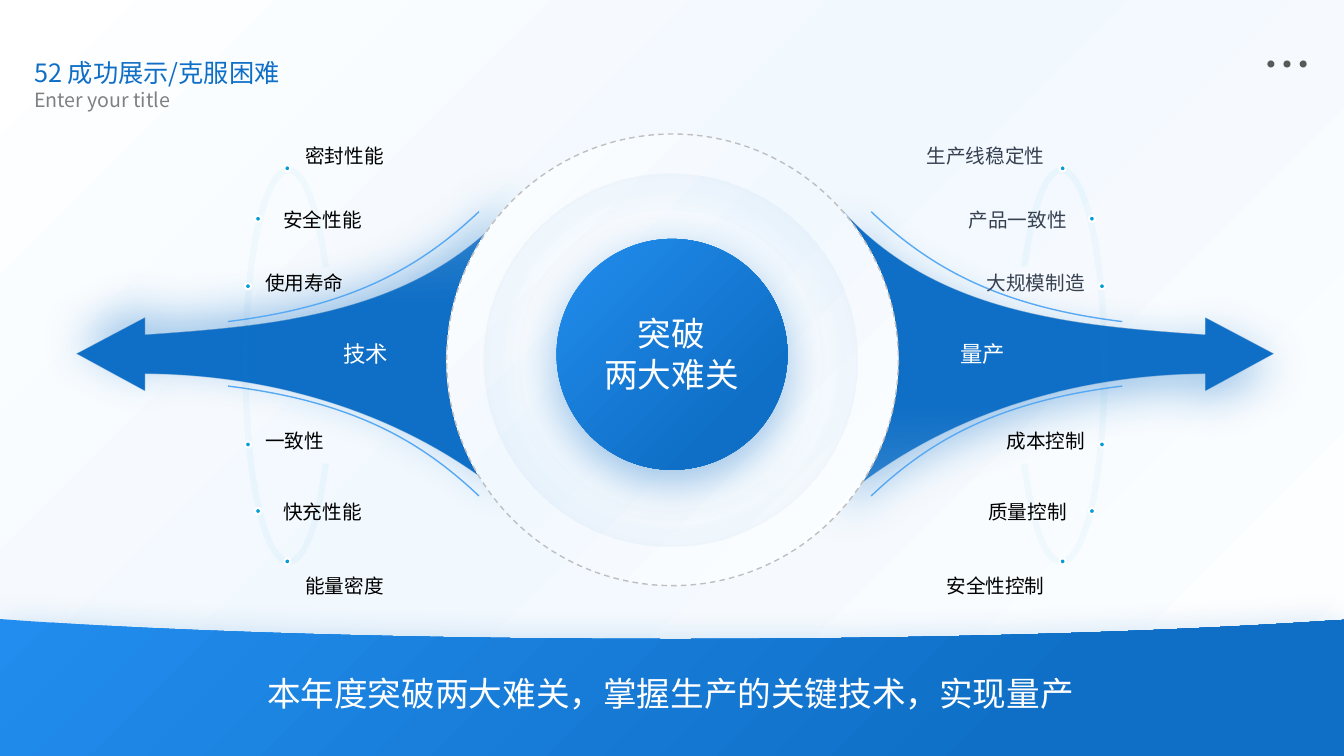
from typing import NamedTuple, Optional

from pptx import Presentation
from pptx.dml.color import RGBColor
from pptx.enum.dml import MSO_LINE
from pptx.enum.shapes import MSO_SHAPE
from pptx.enum.text import MSO_ANCHOR, MSO_AUTO_SIZE, PP_ALIGN
from pptx.oxml import parse_xml
from pptx.oxml.ns import nsdecls, qn
from pptx.util import Emu, Pt

PX = 9144
MIRROR_X, MIRROR_Y = 1339, 702
CURVE_STEPS = 32
OVAL, RECT = MSO_SHAPE.OVAL, MSO_SHAPE.RECTANGLE
DASH = MSO_LINE.DASH
LEFT, CENTER, RIGHT = PP_ALIGN.LEFT, PP_ALIGN.CENTER, PP_ALIGN.RIGHT
TOP = MSO_ANCHOR.TOP
NO_FIT = MSO_AUTO_SIZE.NONE
NOTO, ROBOTO = "Noto Sans CJK SC", "Roboto"
COLORS = {
    "blue": "0F6FC6", "bright": "228DEE", "pale": "F1F8FE", "white": "FFFFFF",
    "arc": "58A9F3", "dot": "009DD9", "dash": "BFBFBF", "gray": "808080",
    "menu": "595959", "black": "000000", "slate": "374151",
}


class Stop(NamedTuple):
    pos: int
    color: str
    alpha: int = 100


class Gradient(NamedTuple):
    stops: tuple[Stop, ...]
    focus: tuple[int, int] = (0, 0)
    angle: Optional[int] = None


class Label(NamedTuple):
    left: int
    top: int
    text: str
    color: str = "black"
    font: str = NOTO


class Contour(NamedTuple):
    start: tuple[int, int]
    segments: tuple[tuple[int, ...], ...]
    closed: bool = True


PALE = Gradient((Stop(0, "white"), Stop(46, "pale"), Stop(100, "white")))
DEEP = Gradient((Stop(23, "blue"), Stop(100, "bright")), (100, 100))
HALO = Gradient((Stop(56, "blue", 0), Stop(100, "blue", 12)), (50, 50))
ARROW_STOPS = (Stop(0, "blue", 76), Stop(33, "blue"))

ARROW = (
    Contour((144, 332), ((144, 371), (274, 372, 403, 411, 503, 494),
                         (503, 209), (411, 311, 276, 323, 144, 332))),
    Contour((76, 351), ((144, 388), (144, 315))),
)
ARC = Contour((475, 210), ((416, 266, 348, 304, 226, 319),), False)
ORBIT = Contour((323, 460), ((303, 619, 250, 574, 244, 392),
                             (243, 373, 243, 353, 244, 334),
                             (250, 153, 302, 107, 323, 265)), False)
FOOTER = Contour((-2, 614), ((25, 616), (190, 627, 418, 634, 670, 634),
                             (923, 634, 1151, 627, 1316, 616),
                             (1333, 615), (1333, 750), (-2, 750)))
DOTS = ((282, 164), (253, 214), (243, 281), (282, 554), (253, 504), (243, 438))
LEFT_LABELS = (
    Label(293, 138, "密封性能"), Label(271, 201, "安全性能"),
    Label(253, 264, "使用寿命"), Label(293, 564, "能量密度"),
    Label(271, 491, "快充性能"), Label(253, 421, "一致性"),
)
RIGHT_LABELS = (
    Label(293, 138, "生产线稳定性", "slate", ROBOTO),
    Label(271, 201, "产品一致性", "slate", ROBOTO),
    Label(253, 264, "大规模制造", "slate", ROBOTO),
    Label(293, 564, "安全性控制"), Label(271, 491, "质量控制"),
    Label(253, 421, "成本控制"),
)


def px(n: float) -> Emu:
    return Emu(round(n * PX))


def rgb(name: str) -> RGBColor:
    return RGBColor.from_string(COLORS[name])


def paint(sp, fill=None, line: Optional[str] = None, width: float = 1) -> None:
    sp.shadow.inherit = False
    if fill is None:
        sp.fill.background()
    else:
        sp.fill.solid()
        if isinstance(fill, Gradient):
            set_gradient(sp, fill)
        else:
            sp.fill.fore_color.rgb = rgb(fill)
    if line is None:
        sp.line.fill.background()
    else:
        sp.line.color.rgb = rgb(line)
        sp.line.width = Pt(width)


def set_gradient(sp, grad: Gradient) -> None:
    stops = "".join(
        f'<a:gs pos="{g.pos * 1000}"><a:srgbClr val="{COLORS[g.color]}">'
        f'<a:alpha val="{g.alpha * 1000}"/></a:srgbClr></a:gs>'
        for g in grad.stops)
    if grad.angle is None:
        x, y = (v * 1000 for v in grad.focus)
        course = (f'<a:path path="circle"><a:fillToRect l="{x}" t="{y}" '
                  f'r="{100000 - x}" b="{100000 - y}"/></a:path>')
    else:
        course = f'<a:lin ang="{grad.angle * 60000}" scaled="0"/>'
    spPr = sp.element.spPr
    spPr.replace(spPr.find(qn("a:solidFill")), parse_xml(
        f'<a:gradFill {nsdecls("a")} rotWithShape="1">'
        f'<a:gsLst>{stops}</a:gsLst>{course}</a:gradFill>'))


def add_glow(sp, angle: int = 90) -> None:
    sp.element.spPr.find(qn("a:effectLst")).append(parse_xml(
        f'<a:outerShdw {nsdecls("a")} blurRad="{Pt(32.4)}" dist="{Pt(9.7)}" '
        f'dir="{angle * 60000}" algn="ctr" rotWithShape="0">'
        f'<a:srgbClr val="{COLORS["blue"]}"><a:alpha val="40000"/>'
        f'</a:srgbClr></a:outerShdw>'))


def add_preset(s, kind, left: int, top: int, width: int, height: int):
    return s.shapes.add_shape(kind, px(left), px(top), px(width), px(height))


def flatten(contour: Contour) -> list[tuple[float, float]]:
    points = [contour.start]
    for seg in contour.segments:
        if len(seg) == 2:
            points.append(seg)
            continue
        ctrl = [points[-1], seg[:2], seg[2:4], seg[4:]]
        for i in range(1, CURVE_STEPS + 1):
            t = i / CURVE_STEPS
            weights = ((1 - t) ** 3, 3 * t * (1 - t) ** 2, 3 * t * t * (1 - t), t ** 3)
            points.append(tuple(sum(w * c[k] for w, c in zip(weights, ctrl))
                                for k in (0, 1)))
    return points


def add_outline(s, *contours: Contour, flip_x: bool = False, flip_y: bool = False):
    def place(x: float, y: float) -> tuple[Emu, Emu]:
        return px(MIRROR_X - x if flip_x else x), px(MIRROR_Y - y if flip_y else y)

    points = [place(*pt) for contour in contours for pt in flatten(contour)]
    builder = s.shapes.build_freeform(*points[0])
    builder.add_line_segments(points[1:], close=False)
    sp = builder.convert_to_shape()
    outline = next(sp.element.iter(qn("a:path")))
    for step in list(outline):
        outline.remove(step)
    for contour in contours:
        for i, seg in enumerate((contour.start, *contour.segments)):
            tag = "moveTo" if i == 0 else "lnTo" if len(seg) == 2 else "cubicBezTo"
            placed = [place(*seg[k:k + 2]) for k in range(0, len(seg), 2)]
            pts = "".join(f'<a:pt x="{x - sp.left}" y="{y - sp.top}"/>' for x, y in placed)
            outline.append(parse_xml(f'<a:{tag} {nsdecls("a")}>{pts}</a:{tag}>'))
        if contour.closed:
            outline.append(parse_xml(f'<a:close {nsdecls("a")}/>'))
    return sp


def write(sp, text: str, size: int, color: str, align=LEFT, font: str = NOTO,
          wrap: bool = False) -> None:
    tf = sp.text_frame
    tf.text = text
    tf.word_wrap = wrap
    tf.auto_size = NO_FIT
    tf.vertical_anchor = TOP
    for p in tf.paragraphs:
        p.alignment = align
        for r in p.runs:
            r.font.name = font
            r.font.size = Pt(size)
            r.font.color.rgb = rgb(color)
            r.font._element.find(qn("a:latin")).addnext(
                parse_xml(f'<a:ea {nsdecls("a")} typeface="{font}"/>'))


def add_text(s, left: int, top: int, width: int, height: int, *args, **kwargs) -> None:
    sp = s.shapes.add_textbox(px(left), px(top), px(width), px(height))
    write(sp, *args, **kwargs)


def add_wing(s, name: str, name_left: int, labels: tuple[Label, ...], flip: bool) -> None:
    arrow = add_outline(s, *ARROW, flip_x=flip)
    paint(arrow, Gradient(ARROW_STOPS, angle=270 if flip else 90))
    add_glow(arrow, 90 if flip else 270)
    for flip_y in (True, False):
        paint(add_outline(s, ARC, flip_x=flip, flip_y=flip_y), line="arc")
    orbit = add_outline(s, ORBIT, flip_x=flip)
    paint(orbit, line="dot", width=4.5)
    next(orbit.line._ln.iter(qn("a:srgbClr"))).append(
        parse_xml(f'<a:alpha {nsdecls("a")} val="3000"/>'))
    add_text(s, name_left, 333, 64, 37, name, 16, "white", CENTER)
    for x, y in DOTS:
        left = MIRROR_X - x - 6 if flip else x
        paint(add_preset(s, OVAL, left, y, 6, 6), "dot", "white", 1.5)
    for label in labels:
        width = round(20 + 19.7 * len(label.text))
        left = MIRROR_X - label.left - width if flip else label.left
        add_text(s, left, label.top, width, 34, label.text, 14, label.color,
                 RIGHT if flip else LEFT, label.font)


def main() -> None:
    prs = Presentation()
    prs.slide_width, prs.slide_height = px(1333), px(750)
    s = prs.slides.add_slide(prs.slide_layouts[5])
    paint(add_preset(s, RECT, -2, 0, 1335, 750), PALE)
    add_wing(s, "技术", 331, LEFT_LABELS, False)
    add_wing(s, "量产", 943, RIGHT_LABELS, True)
    ring = add_preset(s, OVAL, 443, 133, 448, 448)
    paint(ring, PALE, "dash")
    ring.line.dash_style = DASH
    paint(add_preset(s, OVAL, 480, 172, 370, 370), HALO)
    title = s.shapes.title
    title.left, title.top, title.width, title.height = px(24), px(52), px(466), px(40)
    write(title, "52 成功展示/克服困难", 18, "blue", wrap=True)
    title.element.getparent().append(title.element)
    add_text(s, 24, 82, 286, 34, "Enter your title", 14, "gray", wrap=True)
    for i in range(3):
        paint(add_preset(s, OVAL, 1257 + 16 * i, 60, 7, 7), "menu")
    core = add_preset(s, OVAL, 552, 237, 229, 229)
    paint(core, DEEP)
    add_glow(core)
    add_text(s, 589, 306, 154, 90, "突破\n两大难关", 24, "white", CENTER)
    footer = add_outline(s, FOOTER)
    paint(footer, DEEP)
    add_glow(footer)
    add_text(s, 117, 663, 1096, 50, "本年度突破两大难关，掌握生产的关键技术，实现量产",
             24, "white", CENTER, wrap=True)
    prs.save("out.pptx")


if __name__ == "__main__":
    main()
